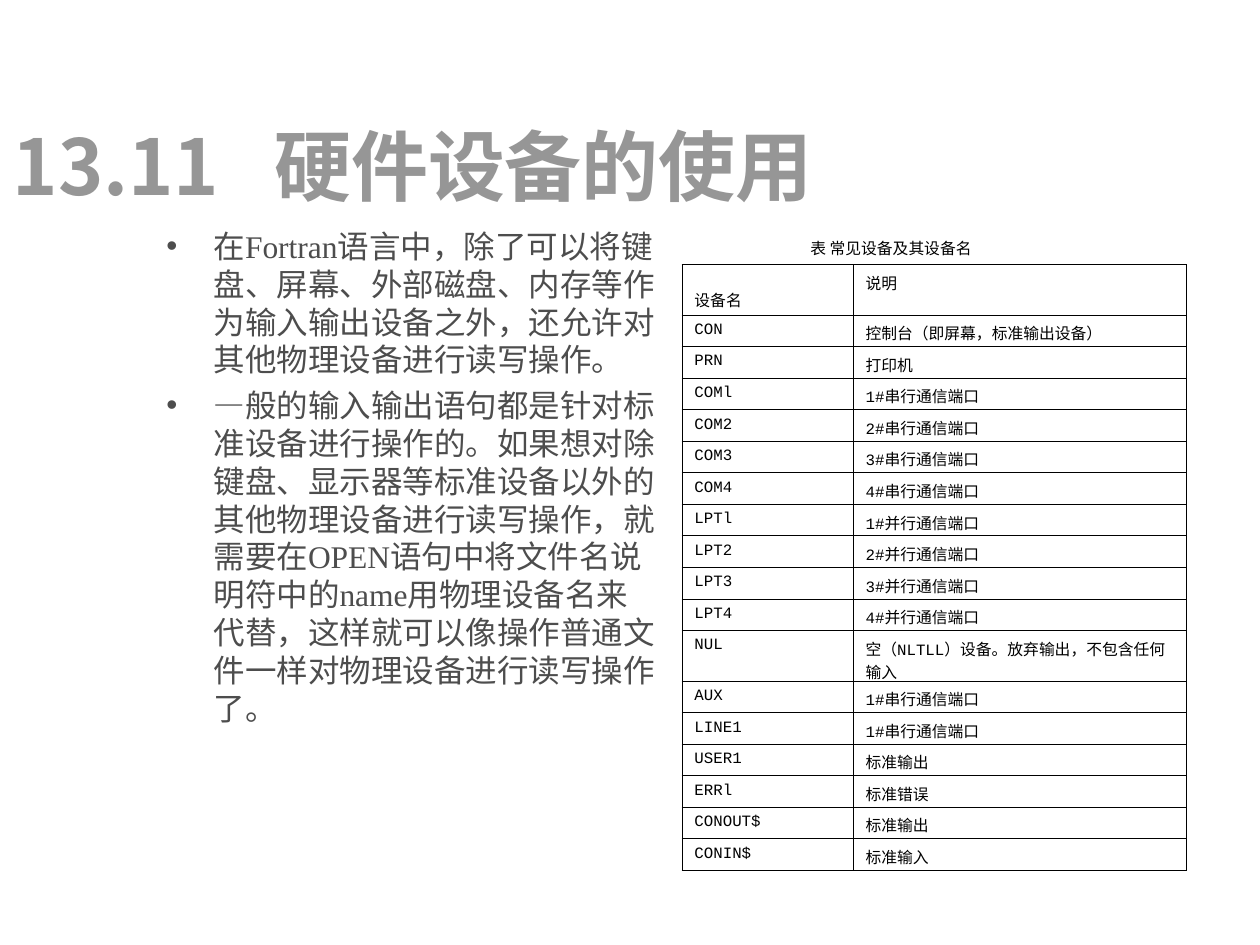
from dataclasses import dataclass
from itertools import groupby

from lxml import etree
from pptx import Presentation
from pptx.dml.color import RGBColor
from pptx.enum.text import MSO_ANCHOR, MSO_AUTO_SIZE, PP_ALIGN
from pptx.oxml.ns import qn
from pptx.util import Cm, Pt

LEFT, CENTER = PP_ALIGN.LEFT, PP_ALIGN.CENTER
TOP, MIDDLE, BOTTOM = MSO_ANCHOR.TOP, MSO_ANCHOR.MIDDLE, MSO_ANCHOR.BOTTOM
NO_FIT, GROW = MSO_AUTO_SIZE.NONE, MSO_AUTO_SIZE.SHAPE_TO_FIT_TEXT


@dataclass(frozen=True)
class Theme:
    title_color: str = "969696"
    body_color: str = "4D4D4D"
    ink: str = "000000"
    title_size: float = 44
    body_size: float = 18
    small_size: float = 9
    border_width: float = 0.45
    east_asian: str = "Noto Sans CJK SC"
    serif: str = "Times New Roman"
    sans: str = "Arial"
    mono: str = "Courier New"


THEME = Theme()

TITLE = "13.11\t硬件设备的使用"
POINTS = [
    "在Fortran语言中，除了可以将键盘、屏幕、外部磁盘、内存等作为输入输出设备之外，"
    "还允许对其他物理设备进行读写操作。",
    "—般的输入输出语句都是针对标准设备进行操作的。如果想对除键盘、显示器等标准设备以外的"
    "其他物理设备进行读写操作，就需要在OPEN语句中将文件名说明符中的name用物理设备名来代替，"
    "这样就可以像操作普通文件一样对物理设备进行读写操作了。",
]
CAPTION = "表 常见设备及其设备名"
DEVICES = [
    ("设备名", "说明"),
    ("CON", "控制台（即屏幕，标准输出设备）"),
    ("PRN", "打印机"),
    ("COMl", "1#串行通信端口"),
    ("COM2", "2#串行通信端口"),
    ("COM3", "3#串行通信端口"),
    ("COM4", "4#串行通信端口"),
    ("LPTl", "1#并行通信端口"),
    ("LPT2", "2#并行通信端口"),
    ("LPT3", "3#并行通信端口"),
    ("LPT4", "4#并行通信端口"),
    ("NUL", "空（NLTLL）设备。放弃输出，不包含任何输入"),
    ("AUX", "1#串行通信端口"),
    ("LINE1", "1#串行通信端口"),
    ("USER1", "标准输出"),
    ("ERRl", "标准错误"),
    ("CONOUT$", "标准输出"),
    ("CONIN$", "标准输入"),
]
TALL_ROWS = {"设备名", "NUL"}


def add_child(parent, tag, **attributes):
    return etree.SubElement(parent, qn(tag), attributes)


def write(para, text, *, size, color, font, ascii_font=None, bold=False, align=LEFT):
    para.alignment = align
    pieces = [(False, text)]
    if ascii_font:
        pieces = [(plain, "".join(part)) for plain, part in groupby(text, str.isascii)]
    for plain, piece in pieces:
        span = para.add_run()
        span.text = piece
        span.font.name = ascii_font if plain else font
        span.font.size = Pt(size)
        span.font.bold = bold
        span.font.color.rgb = RGBColor.from_string(color)
        add_child(span.font._element, "a:ea", typeface=THEME.east_asian)


class SlideBuilder:
    def __init__(self, slide, theme):
        self.slide = slide
        self.theme = theme

    def place(self, box, left, top, width, height):
        box.left, box.top = Cm(left), Cm(top)
        box.width, box.height = Cm(width), Cm(height)

    def title(self, text, *position, tab):
        theme = self.theme
        box = self.slide.shapes.title
        self.place(box, *position)
        frame = box.text_frame
        frame.vertical_anchor = MIDDLE
        frame.auto_size = NO_FIT
        para = frame.paragraphs[0]
        tabs = add_child(para._p.get_or_add_pPr(), "a:tabLst")
        add_child(tabs, "a:tab", pos=str(Cm(tab)), algn="l")
        write(para, text, size=theme.title_size, color=theme.title_color,
              font=theme.east_asian, bold=True)

    def bullets(self, points, *position, indent):
        theme = self.theme
        box = self.slide.placeholders[1]
        self.place(box, *position)
        frame = box.text_frame
        frame.auto_size = NO_FIT
        for index, point in enumerate(points):
            para = frame.add_paragraph() if index else frame.paragraphs[0]
            properties = para._p.get_or_add_pPr()
            properties.set("marL", str(Cm(indent)))
            properties.set("indent", str(-Cm(indent)))
            bullet_color = add_child(properties, "a:buClr")
            add_child(bullet_color, "a:srgbClr", val=theme.body_color)
            add_child(properties, "a:buFont", typeface=theme.sans)
            add_child(properties, "a:buChar", char="•")
            para.line_spacing = 1.0
            para.space_before = Pt(4.5 if index else 0)
            write(para, point, size=theme.body_size, color=theme.body_color, font=theme.serif)

    def caption(self, text, *position):
        theme = self.theme
        box = self.slide.shapes.add_textbox(*map(Cm, position))
        frame = box.text_frame
        frame.word_wrap = False
        frame.auto_size = GROW
        frame.vertical_anchor = MIDDLE
        write(frame.paragraphs[0], text, size=theme.small_size, color=theme.ink,
              font=theme.sans, align=CENTER)

    def table(self, rows, left, top, widths, height, tall_height):
        tall_count = sum(name in TALL_ROWS for name, _ in rows)
        row_height = (height - tall_count * tall_height) / (len(rows) - tall_count)
        table = self.slide.shapes.add_table(
            len(rows), len(widths), Cm(left), Cm(top), Cm(sum(widths)), Cm(height)).table
        table.first_row = False
        table.horz_banding = False
        for column, width in zip(table.columns, widths):
            column.width = Cm(width)
        for row, values in zip(table.rows, rows):
            row.height = Cm(tall_height if values[0] in TALL_ROWS else row_height)
            for cell, text in zip(row.cells, values):
                self.cell(cell, text)
        corner = table.cell(0, 0)
        corner.vertical_anchor = BOTTOM
        corner.margin_bottom = Cm(0.08)

    def cell(self, cell, text):
        theme = self.theme
        cell.margin_left = cell.margin_right = Cm(0.25)
        cell.margin_top, cell.margin_bottom = Cm(0.13), 0
        cell.vertical_anchor = TOP
        properties = cell._tc.get_or_add_tcPr()
        for side in ("a:lnL", "a:lnR", "a:lnT", "a:lnB"):
            line = add_child(properties, side, w=str(Pt(theme.border_width)))
            add_child(add_child(line, "a:solidFill"), "a:srgbClr", val=theme.ink)
        cell.fill.background()
        write(cell.text_frame.paragraphs[0], text, size=theme.small_size, color=theme.ink,
              font=theme.serif, ascii_font=theme.mono)


def main():
    deck = Presentation()
    deck.slide_width, deck.slide_height = Cm(25.4), Cm(19.05)
    page = SlideBuilder(deck.slides.add_slide(deck.slide_layouts[1]), THEME)
    page.title(TITLE, 0, 1.73, 25.4, 3.18, tab=5.27)
    page.bullets(POINTS, 3.1, 4.45, 10.39, 12.88, indent=0.95)
    page.caption(CAPTION, 16.08, 4.69, 3.76, 0.64)
    page.table(DEVICES, 13.75, 5.33, (3.45, 6.71), 12.22, 1.02)
    deck.save("out.pptx")


if __name__ == "__main__":
    main()
